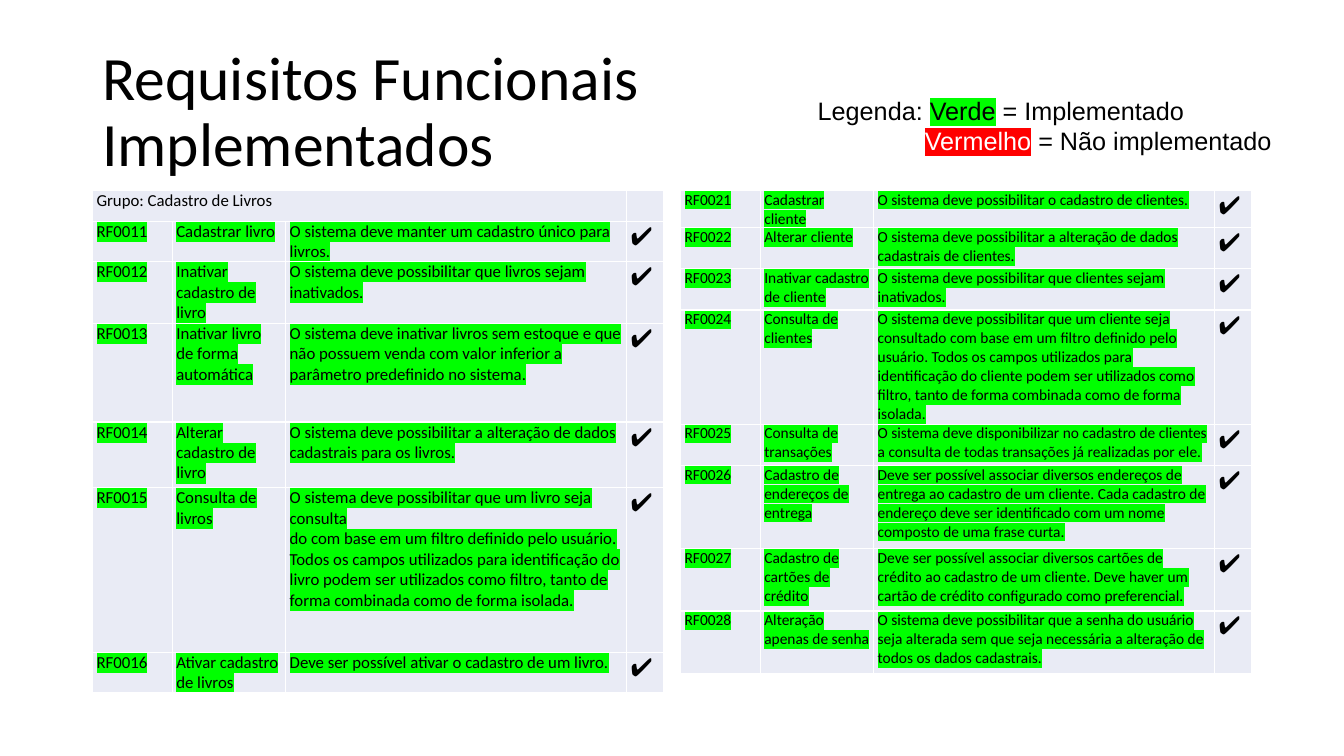
from lxml.etree import SubElement as add_xml
from pptx import Presentation
from pptx.dml.color import RGBColor
from pptx.enum.text import MSO_ANCHOR as Anchor, PP_ALIGN as Align
from pptx.oxml.ns import qn
from pptx.util import Pt

BLACK, WHITE, GREEN, RED, CELL_FILL = "000000", "FFFFFF", "00FF00", "FF0000", "E9EBF5"
COLUMNS = [57, 81, 243.5, 26.5]
BOOK_GROUP = "Grupo: Cadastro de Livros"
BOOKS = [
    ("RF0011", "Cadastrar livro", "O sistema deve manter um cadastro único para livros."),
    ("RF0012", "Inativar cadastro de livro", "O sistema deve possibilitar que livros sejam inativados."),
    ("RF0013", "Inativar livro de forma automática",
     "O sistema deve inativar livros sem estoque e que não possuem venda com valor inferior a "
     "parâmetro predefinido no sistema."),
    ("RF0014", "Alterar cadastro de livro",
     "O sistema deve possibilitar a alteração de dados cadastrais para os livros."),
    ("RF0015", "Consulta de livros",
     "O sistema deve possibilitar que um livro seja consulta\n"
     "do com base em um filtro definido pelo usuário. Todos os campos utilizados para "
     "identificação do livro podem ser utilizados como filtro, tanto de forma combinada "
     "como de forma isolada."),
    ("RF0016", "Ativar cadastro de livros", "Deve ser possível ativar o cadastro de um livro."),
]
CLIENTS = [
    ("RF0021", "Cadastrar cliente", "O sistema deve possibilitar o cadastro de clientes."),
    ("RF0022", "Alterar cliente",
     "O sistema deve possibilitar a alteração de dados cadastrais de clientes."),
    ("RF0023", "Inativar cadastro de cliente",
     "O sistema deve possibilitar que clientes sejam inativados."),
    ("RF0024", "Consulta de clientes",
     "O sistema deve possibilitar que um cliente seja consultado com base em um filtro definido "
     "pelo usuário. Todos os campos utilizados para identificação do cliente podem ser utilizados "
     "como filtro, tanto de forma combinada como de forma isolada."),
    ("RF0025", "Consulta de transações",
     "O sistema deve disponibilizar no cadastro de clientes a consulta de todas transações já "
     "realizadas por ele."),
    ("RF0026", "Cadastro de endereços de entrega",
     "Deve ser possível associar diversos endereços de entrega ao cadastro de um cliente. Cada "
     "cadastro de endereço deve ser identificado com um nome composto de uma frase curta."),
    ("RF0027", "Cadastro de cartões de crédito",
     "Deve ser possível associar diversos cartões de crédito ao cadastro de um cliente. Deve haver "
     "um cartão de crédito configurado como preferencial."),
    ("RF0028", "Alteração apenas de senha",
     "O sistema deve possibilitar que a senha do usuário seja alterada sem que seja necessária a "
     "alteração de todos os dados cadastrais."),
]


def color(value):
    return RGBColor.from_string(value)


def add_text(para, text, size=12, font="Calibri", ink=BLACK, highlight=None):
    span = para.add_run()
    span.text = text
    span.font.size = Pt(size)
    span.font.color.rgb = color(ink)
    if highlight:
        mark = add_xml(span.font._element, qn("a:highlight"))
        add_xml(mark, qn("a:srgbClr"), val=highlight)
    span.font.name = font


def add_frame(page, left, top, width, height):
    frame = page.shapes.add_textbox(Pt(left), Pt(top), Pt(width), Pt(height)).text_frame
    frame.word_wrap = True
    return frame


def add_title(page, left, top, width, height):
    frame = add_frame(page, left, top, width, height)
    frame.vertical_anchor = Anchor.MIDDLE
    para = frame.paragraphs[0]
    para.line_spacing = 0.9
    add_text(para, "Requisitos Funcionais", size=44)
    para.add_line_break()
    add_text(para, "Implementados", size=44)


def add_legend(page, left, top, width, height):
    frame = add_frame(page, left, top, width, height)
    frame.margin_top = Pt(27)
    first, second = frame.paragraphs[0], frame.add_paragraph()
    second._p.get_or_add_pPr().set("marL", str(Pt(76.5)))
    style = {"size": 18, "font": "Arial"}
    add_text(first, "Legenda: ", **style)
    add_text(first, "Verde", highlight=GREEN, **style)
    add_text(first, " = Implementado", **style)
    add_text(second, "Vermelho", ink=WHITE, highlight=RED, **style)
    add_text(second, " = Não implementado", **style)
    for para in (first, second):
        para.alignment = Align.JUSTIFY


def format_cell(cell):
    cell.margin_left = cell.margin_right = Pt(3)
    cell.margin_top = cell.margin_bottom = 0
    for side in ("lnL", "lnR", "lnT", "lnB"):
        border = add_xml(cell._tc.get_or_add_tcPr(), qn(f"a:{side}"), w=str(Pt(1)))
        add_xml(add_xml(border, qn("a:solidFill")), qn("a:srgbClr"), val=WHITE)
    cell.fill.solid()
    cell.fill.fore_color.rgb = color(CELL_FILL)


def fill_cell(cell, text, **style):
    for index, line in enumerate(text.split("\n")):
        frame = cell.text_frame
        para = frame.add_paragraph() if index else frame.paragraphs[0]
        add_text(para, line, **style)


def add_requirements(page, left, top, heights, requirements, size, group=None):
    table = page.shapes.add_table(len(heights), len(COLUMNS), Pt(left), Pt(top),
                                  Pt(sum(COLUMNS)), Pt(sum(heights))).table
    table.first_row = table.horz_banding = False
    for column, width in zip(table.columns, COLUMNS):
        column.width = Pt(width)
    for row, height in zip(table.rows, heights):
        row.height = Pt(height)
    for cell in table.iter_cells():
        format_cell(cell)
    if group:
        table.cell(0, 0).merge(table.cell(0, 2))
        fill_cell(table.cell(0, 0), group, size=size)
    for index, requirement in enumerate(requirements, 1 if group else 0):
        for column, text in enumerate(requirement):
            fill_cell(table.cell(index, column), text, size=size, highlight=GREEN)
        fill_cell(table.cell(index, 3), "✔", size=18)


def main():
    deck = Presentation()
    deck.slide_width, deck.slide_height = Pt(960), Pt(540)
    page = deck.slides.add_slide(deck.slide_layouts[6])
    add_title(page, 66, 29, 828, 104)
    add_requirements(page, 66, 136, [22, 29, 44, 70.5, 47, 117.5, 29], BOOKS, 12, BOOK_GROUP)
    add_requirements(page, 486, 136, [26.5, 29.5, 29.5, 81.5, 29.5, 59.5, 44.5, 44.5], CLIENTS, 11)
    add_legend(page, 577, 41, 348, 94)
    deck.save("out.pptx")


if __name__ == "__main__":
    main()
